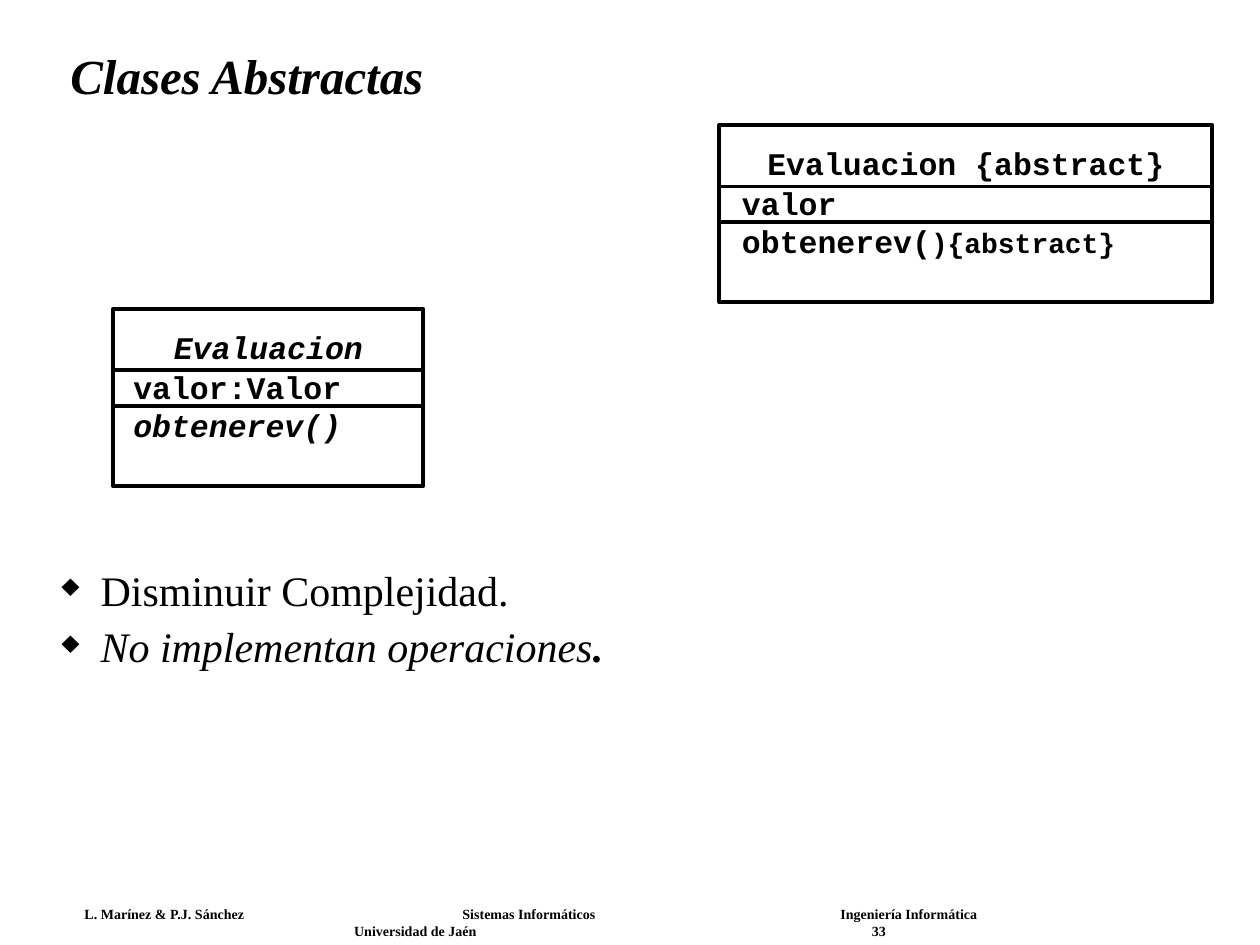
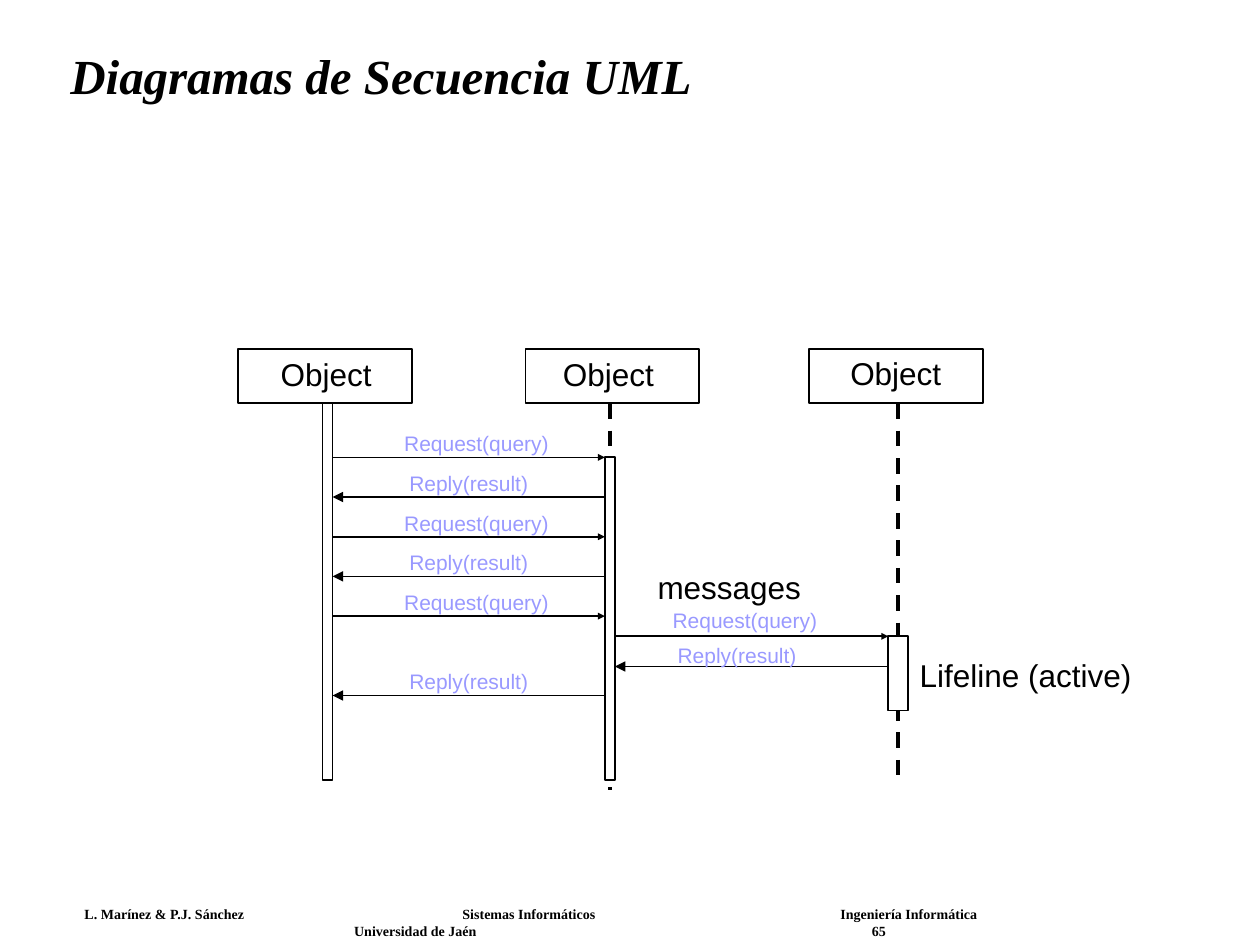
from dataclasses import dataclass
from typing import Any, NamedTuple

import pptx
import pptx.dml.color
import pptx.enum.dml
import pptx.enum.shapes
import pptx.enum.text
import pptx.oxml
import pptx.oxml.ns
import pptx.util

Inches = pptx.util.Inches
Pt = pptx.util.Pt
Anchor = pptx.enum.text.MSO_ANCHOR
Align = pptx.enum.text.PP_ALIGN

BLACK = pptx.dml.color.RGBColor(0x00, 0x00, 0x00)
WHITE = pptx.dml.color.RGBColor(0xFF, 0xFF, 0xFF)
LAVENDER = pptx.dml.color.RGBColor(0x99, 0x99, 0xFF)

TITLE = {"name": "Times New Roman", "size": Pt(28), "bold": True, "italic": True}
BODY = {"name": "Times New Roman", "size": Pt(24)}
FOOTER = {"name": "Times New Roman", "size": Pt(8), "bold": True}
CODE = {"name": "Courier New", "size": Pt(18), "bold": True}
DIAGRAM = {"name": "Arial", "size": Pt(18)}
MESSAGE = {"name": "Arial", "size": Pt(12), "color": LAVENDER}

THIN, THICK = Pt(1), Pt(2.25)
LABEL_HEIGHT = 0.4


class Run(NamedTuple):
    text: str
    changes: dict[str, Any] = {}


class Box(NamedTuple):
    left: float
    top: float
    width: float
    height: float


@dataclass
class UmlClass:
    left: float
    top: float
    width: float
    members_indent: float
    name: Run
    members: list[list[Run]]


@dataclass
class Participant:
    head_left: float
    label_left: float
    label_top: float
    bar: Box
    lifeline_end: float | None = None


@dataclass
class Message:
    y: float
    sender: int
    receiver: int
    label_rise: float = 0.26


FOOTER_TABS = [(3, 6), (2.14, 6.25)]
COMPARTMENT_HEIGHTS = (0.49, 0.28, 0.64)
EVALUATIONS = [
    UmlClass(0.9, 2.45, 2.46, 0.06, Run("Evaluacion", {"italic": True}),
             [[Run("valor:Valor")], [Run("obtenerev()", {"italic": True})]]),
    UmlClass(5.71, 0.99, 3.91, 0.08, Run("Evaluacion {abstract}"),
             [[Run("valor")],
              [Run("obtenerev("), Run("){abstract}", {"size": Pt(16)})]]),
]
BENEFITS = [
    [Run("Disminuir Complejidad.")],
    [Run("No implementan operaciones", {"italic": True}),
     Run(".", {"italic": True, "bold": True})],
]

HEAD_TOP, HEAD_WIDTH, HEAD_HEIGHT = 2.77, 1.38, 0.43
HEAD_BOTTOM = HEAD_TOP + HEAD_HEIGHT
PARTICIPANTS = [
    Participant(1.89, 2.13, 2.77, Box(2.56, HEAD_BOTTOM, 0.08, 2.99)),
    Participant(4.17, 4.37, 2.77, Box(4.8, 3.63, 0.08, 2.56), 6.27),
    Participant(6.42, 6.65, 2.76, Box(7.05, 5.05, 0.16, 0.59), 6.19),
]
FIRST_MESSAGE_TOP, MESSAGE_STEP = 3.63, 0.315
MESSAGES = [
    Message(FIRST_MESSAGE_TOP + step * MESSAGE_STEP, sender, 1 - sender)
    for step, sender in ((0, 0), (1, 1), (2, 0), (3, 1), (4, 0), (6, 1))
] + [Message(5.05, 1, 2, 0.28), Message(5.29, 2, 1, 0.24)]
MESSAGE_INDENTS = (0.47, 0.36)
NOTES = [("messages", Box(5.12, 4.46, 1.69, LABEL_HEIGHT)),
         ("Lifeline (active)", Box(7.2, 5.16, 1.89, LABEL_HEIGHT))]


def add_element(parent: Any, tag: str, **attributes: str) -> Any:
    element = pptx.oxml.parse_xml(f"<a:{tag} {pptx.oxml.ns.nsdecls('a')}/>")
    for key, value in attributes.items():
        element.set(key, value)
    parent.append(element)
    return element


def set_format(font: Any, values: dict[str, Any]) -> None:
    for key, value in ({"color": BLACK} | values).items():
        if key == "color":
            font.color.rgb = value
        else:
            setattr(font, key, value)


def write(frame: Any, paragraphs: list[list[Run]], style: dict[str, Any],
          insets: tuple[float, float] = (0.1, 0.05)) -> None:
    """Fill a text frame; insets are the horizontal and vertical margins."""
    across, down = insets
    frame.word_wrap = True
    frame.margin_left = frame.margin_right = Inches(across)
    frame.margin_top = frame.margin_bottom = Inches(down)
    for index, runs in enumerate(paragraphs):
        paragraph = frame.add_paragraph() if index else frame.paragraphs[0]
        for part in runs:
            run = paragraph.add_run()
            run.text = part.text
            set_format(run.font, style | part.changes)


def add_text(shapes: Any, box: Box, paragraphs: list[list[Run]],
             style: dict[str, Any], **options: Any) -> Any:
    frame = shapes.add_textbox(*map(Inches, box)).text_frame
    write(frame, paragraphs, style, **options)
    return frame


def add_rectangle(shapes: Any, box: Box, weight: int, filled: bool = False) -> Any:
    rectangle = shapes.add_shape(pptx.enum.shapes.MSO_SHAPE.RECTANGLE, *map(Inches, box))
    rectangle.shadow.inherit = False
    if filled:
        rectangle.fill.solid()
        rectangle.fill.fore_color.rgb = WHITE
    else:
        rectangle.fill.background()
    rectangle.line.color.rgb = BLACK
    rectangle.line.width = weight
    return rectangle


def add_line(shapes: Any, start: tuple[float, float], end: tuple[float, float],
             weight: int, dashed: bool = False, arrow: str = "") -> None:
    """Draw a straight line; arrow is the size of the head at its end."""
    line = shapes.add_connector(pptx.enum.shapes.MSO_CONNECTOR.STRAIGHT,
                                *map(Inches, start + end))
    line.line.color.rgb = BLACK
    line.line.width = weight
    if dashed:
        line.line.dash_style = pptx.enum.dml.MSO_LINE.DASH
    properties = line.element.spPr
    if arrow:
        add_element(properties.find(pptx.oxml.ns.qn("a:ln")), "tailEnd",
                    type="triangle", w=arrow, len=arrow)
    add_element(properties, "effectLst")


def add_slide(deck: Any, title: str, number: int) -> Any:
    """Add a blank slide with the shared title and footer."""
    shapes = deck.slides.add_slide(deck.slide_layouts[6]).shapes
    footer = add_text(shapes, Box(0.59, 7.15, 8.65, 0.34), [
        [Run("L. Marínez & P.J. Sánchez\tSistemas Informáticos\tIngeniería Informática")],
        [Run(f"\tUniversidad de Jaén\t{number}")],
    ], FOOTER, insets=(0.08, 0.04))
    for paragraph, stops in zip(footer.paragraphs, FOOTER_TABS):
        tabs = add_element(paragraph._p.get_or_add_pPr(), "tabLst")
        for stop in stops:
            add_element(tabs, "tab", pos=str(Inches(stop)), algn="l")
    heading = add_text(shapes, Box(0.46, 0.24, 8.92, 0.77), [[Run(title)]], TITLE)
    heading.vertical_anchor = Anchor.MIDDLE
    heading.paragraphs[0].line_spacing = 0.9
    return shapes


def add_bullets(shapes: Any, box: Box, items: list[list[Run]]) -> None:
    frame = add_text(shapes, box, items, BODY)
    for index, paragraph in enumerate(frame.paragraphs):
        properties = paragraph._p.get_or_add_pPr()
        properties.set("marL", str(Inches(0.31)))
        properties.set("indent", str(-Inches(0.31)))
        add_element(add_element(properties, "buClr"), "srgbClr", val=str(BLACK))
        add_element(properties, "buSzPct", val="75000")
        add_element(properties, "buChar", char="♦")
        paragraph.line_spacing = 0.8
        if index:
            paragraph.space_before = Pt(9)


def add_uml_class(slide_shapes: Any, uml: UmlClass) -> None:
    shapes = slide_shapes.add_group_shape().shapes
    add_text(shapes, Box(uml.left + uml.members_indent, uml.top + 0.42, uml.width, 0.7),
             uml.members, CODE)
    top = uml.top
    compartments = []
    for height in COMPARTMENT_HEIGHTS:
        compartments.append(add_rectangle(shapes, Box(uml.left, top, uml.width, height), THICK))
        top += height
    header = compartments[0].text_frame
    write(header, [[uml.name]], CODE, insets=(0, 0.04))
    header.vertical_anchor = Anchor.BOTTOM
    header.paragraphs[0].alignment = Align.CENTER


def add_participant(shapes: Any, participant: Participant) -> None:
    add_rectangle(shapes, Box(participant.head_left, HEAD_TOP, HEAD_WIDTH, HEAD_HEIGHT), THIN)
    add_text(shapes, Box(participant.label_left, participant.label_top, 1.06, LABEL_HEIGHT),
             [[Run("Object")]], DIAGRAM)
    bar = participant.bar
    if participant.lifeline_end:
        center = bar.left + bar.width / 2
        add_line(shapes, (center, HEAD_BOTTOM), (center, participant.lifeline_end),
                 THICK, dashed=True)
    add_rectangle(shapes, bar, THIN, filled=True)


def add_message(shapes: Any, message: Message) -> None:
    """Draw a request to the right or a reply to the left, with its label."""
    is_request = message.sender < message.receiver
    caller = min(message.sender, message.receiver)
    caller_bar = PARTICIPANTS[caller].bar
    left = caller_bar.left + caller_bar.width
    right = PARTICIPANTS[caller + 1].bar.left
    start, end = (left, right) if is_request else (right, left)
    add_line(shapes, (start, message.y), (end, message.y), THIN,
             arrow="sm" if is_request else "med")
    label_left = left + MESSAGE_INDENTS[caller] + (0 if is_request else 0.04)
    add_text(shapes, Box(label_left, message.y - message.label_rise, 1.54, 0.3),
             [[Run("Request(query)" if is_request else "Reply(result)")]], MESSAGE)


def main() -> None:
    deck = pptx.Presentation()
    deck.slide_width, deck.slide_height = Inches(10), Inches(7.5)

    abstract_classes = add_slide(deck, "Clases Abstractas", 33)
    add_bullets(abstract_classes, Box(0.39, 4.51, 9.03, 2), BENEFITS)
    for uml in EVALUATIONS:
        add_uml_class(abstract_classes, uml)

    sequence = add_slide(deck, "Diagramas de Secuencia UML", 65)
    for participant in PARTICIPANTS:
        add_participant(sequence, participant)
    for message in MESSAGES:
        add_message(sequence, message)
    for text, box in NOTES:
        add_text(sequence, box, [[Run(text)]], DIAGRAM)

    deck.save("out.pptx")


if __name__ == "__main__":
    main()
